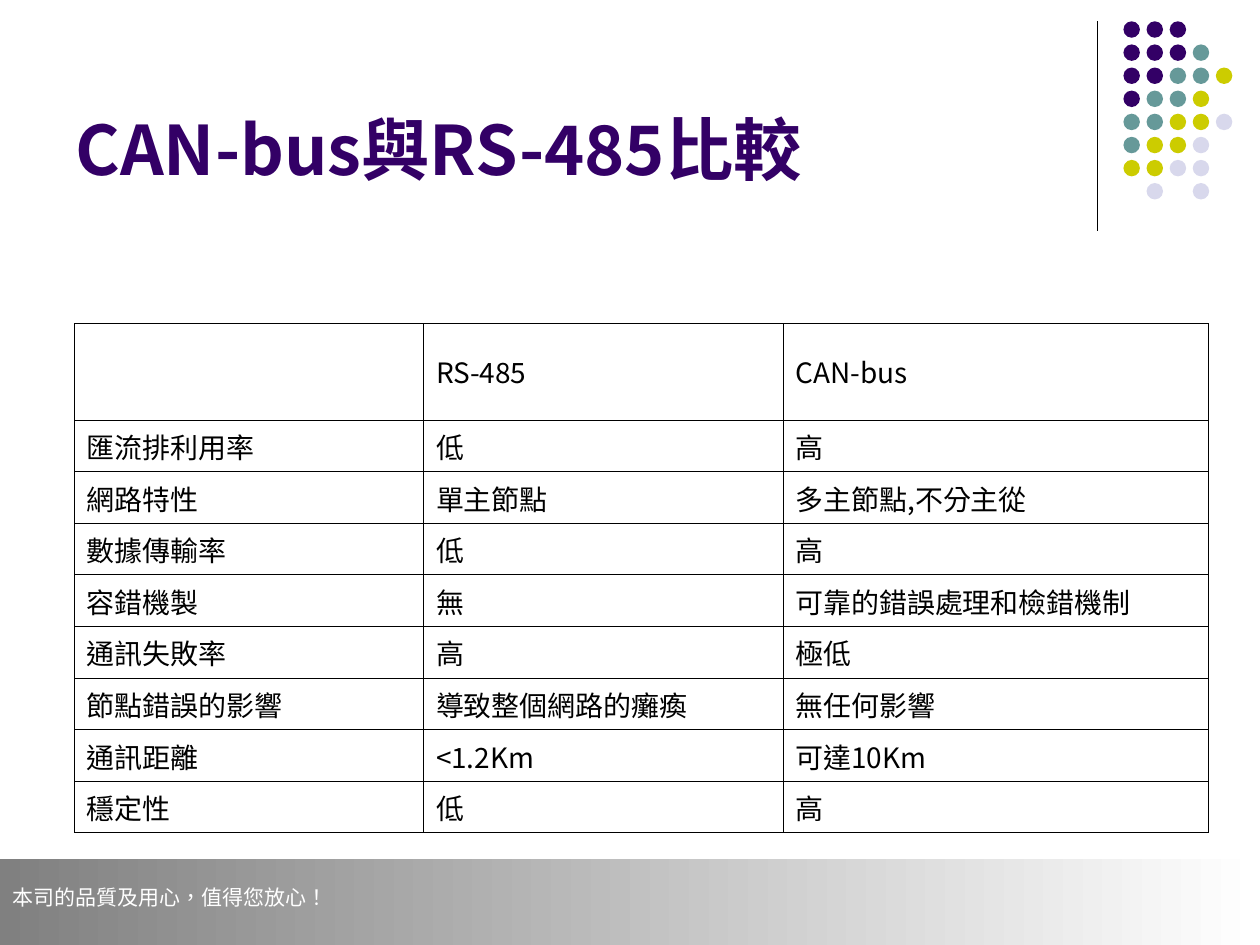
"""Build the slide comparing CAN-bus with RS-485."""
import dataclasses

import lxml.etree
import pptx
import pptx.dml.color
import pptx.enum.lang
import pptx.enum.shapes
import pptx.enum.text
import pptx.oxml.ns
import pptx.util

Pt = pptx.util.Pt
qn = pptx.oxml.ns.qn
Anchor = pptx.enum.text.MSO_ANCHOR


@dataclasses.dataclass(frozen=True)
class Theme:
    font: str = "Noto Sans CJK SC"
    purple: str = "330066"
    teal: str = "669999"
    lime: str = "CCCC00"
    lavender: str = "D8D8EC"
    black: str = "000000"
    white: str = "FFFFFF"
    grey: str = "808080"
    title_size: float = 39
    cell_size: float = 16
    footer_size: float = 12
    rule_width: float = 0.75
    border_width: float = 0.34


def rgb(value):
    return pptx.dml.color.RGBColor.from_string(value)


def write_text(frame, text, *, font, size, color, bold=False, anchor=Anchor.TOP, spacing=None, hanging=0):
    frame.word_wrap = True
    frame.vertical_anchor = anchor
    para = frame.paragraphs[0]
    para.alignment = pptx.enum.text.PP_ALIGN.LEFT
    if spacing:
        para.line_spacing = spacing
    if hanging:
        properties = para._p.get_or_add_pPr()
        properties.set("marL", str(Pt(hanging)))
        properties.set("indent", str(-Pt(hanging)))
    span = para.add_run()
    span.text = text
    span.font.name = font
    span.font.size = Pt(size)
    span.font.bold = bold
    span.font.color.rgb = rgb(color)
    span.font.language_id = pptx.enum.lang.MSO_LANGUAGE_ID.TRADITIONAL_CHINESE
    east_asian = lxml.etree.SubElement(span.font._element, qn("a:ea"))
    east_asian.set("typeface", font)


class SlideBuilder:
    def __init__(self, slide, theme):
        self.slide = slide
        self.theme = theme

    def shape(self, kind, left, top, width, height):
        shape = self.slide.shapes.add_shape(kind, Pt(left), Pt(top), Pt(width), Pt(height))
        shape.shadow.inherit = False
        shape.line.fill.background()
        return shape

    def rule(self, x, top, bottom):
        line = self.slide.shapes.add_connector(
            pptx.enum.shapes.MSO_CONNECTOR.STRAIGHT, Pt(x), Pt(top), Pt(x), Pt(bottom))
        line.line.color.rgb = rgb(self.theme.black)
        line.line.width = Pt(self.theme.rule_width)
        lxml.etree.SubElement(line._element.spPr, qn("a:effectLst"))

    def dots(self, pattern, left, top, pitch, diameter):
        colors = {"P": self.theme.purple, "T": self.theme.teal,
                  "L": self.theme.lime, "V": self.theme.lavender}
        for row, marks in enumerate(pattern):
            for column, mark in enumerate(marks):
                if mark in colors:
                    dot = self.shape(pptx.enum.shapes.MSO_SHAPE.OVAL, left + column * pitch,
                                     top + row * pitch, diameter, diameter)
                    dot.fill.solid()
                    dot.fill.fore_color.rgb = rgb(colors[mark])

    def footer(self, text, left, top, width, height):
        band = self.shape(pptx.enum.shapes.MSO_SHAPE.RECTANGLE, left, top, width, height)
        band.fill.gradient()
        band.fill.gradient_angle = 180
        stops = zip(band.fill.gradient_stops, (0, 1), (self.theme.white, self.theme.grey))
        for stop, position, color in stops:
            stop.position = position
            stop.color.rgb = rgb(color)
        write_text(band.text_frame, text, font=self.theme.font, size=self.theme.footer_size,
                   color=self.theme.white, spacing=1.76)

    def title(self, text, left, top, width, height):
        box = self.slide.shapes.add_textbox(Pt(left), Pt(top), Pt(width), Pt(height))
        write_text(box.text_frame, text, font=self.theme.font, size=self.theme.title_size,
                   color=self.theme.purple, bold=True, anchor=Anchor.BOTTOM)

    def borders(self, cell):
        properties = cell._tc.get_or_add_tcPr()
        for index, side in enumerate(("a:lnL", "a:lnR", "a:lnT", "a:lnB")):
            border = lxml.etree.Element(qn(side), w=str(Pt(self.theme.border_width)))
            fill = lxml.etree.SubElement(border, qn("a:solidFill"))
            lxml.etree.SubElement(fill, qn("a:srgbClr"), val=self.theme.black)
            properties.insert(index, border)

    def table(self, rows, left, top, widths, heights):
        frame = self.slide.shapes.add_table(
            len(rows), len(widths), Pt(left), Pt(top), Pt(sum(widths)), Pt(sum(heights)))
        table = frame.table
        table.first_row = table.horz_banding = False
        for column, width in zip(table.columns, widths):
            column.width = Pt(width)
        for row, height, texts in zip(table.rows, heights, rows):
            row.height = Pt(height)
            for cell, text in zip(row.cells, texts):
                cell.fill.background()
                self.borders(cell)
                cell.vertical_anchor = Anchor.MIDDLE
                if text:
                    write_text(cell.text_frame, text, font=self.theme.font, size=self.theme.cell_size,
                               color=self.theme.black, anchor=None, hanging=27)


def main():
    deck = pptx.Presentation()
    deck.slide_width, deck.slide_height = Pt(720), Pt(540)
    page = SlideBuilder(deck.slides.add_slide(deck.slide_layouts[6]), Theme())
    page.rule(627, 12.2, 131.8)
    page.dots(("PPP", "PPPT", "PPTTL", "PTTL", "TTLLV", "TLLV", "LLVV", " V V"),
              left=642, top=12.2, pitch=13.2, diameter=9.4)
    page.footer("本司的品質及用心，值得您放心！", 0, 491, 720, 49)
    page.title("CAN-bus與RS-485比較", 36, 9.4, 594, 102.2)
    comparison = (
        ("", "RS-485", "CAN-bus"),
        ("匯流排利用率", "低", "高"),
        ("網路特性", "單主節點", "多主節點,不分主從"),
        ("數據傳輸率", "低", "高"),
        ("容錯機製", "無", "可靠的錯誤處理和檢錯機制"),
        ("通訊失敗率", "高", "極低"),
        ("節點錯誤的影響", "導致整個網路的癱瘓", "無任何影響"),
        ("通訊距離", "<1.2Km", "可達10Km"),
        ("穩定性", "低", "高"),
    )
    page.table(comparison, 42.5, 184.8, widths=(199.5, 205.5, 243),
               heights=[55.2] + [29.5] * (len(comparison) - 1))
    deck.save("out.pptx")


if __name__ == "__main__":
    main()
